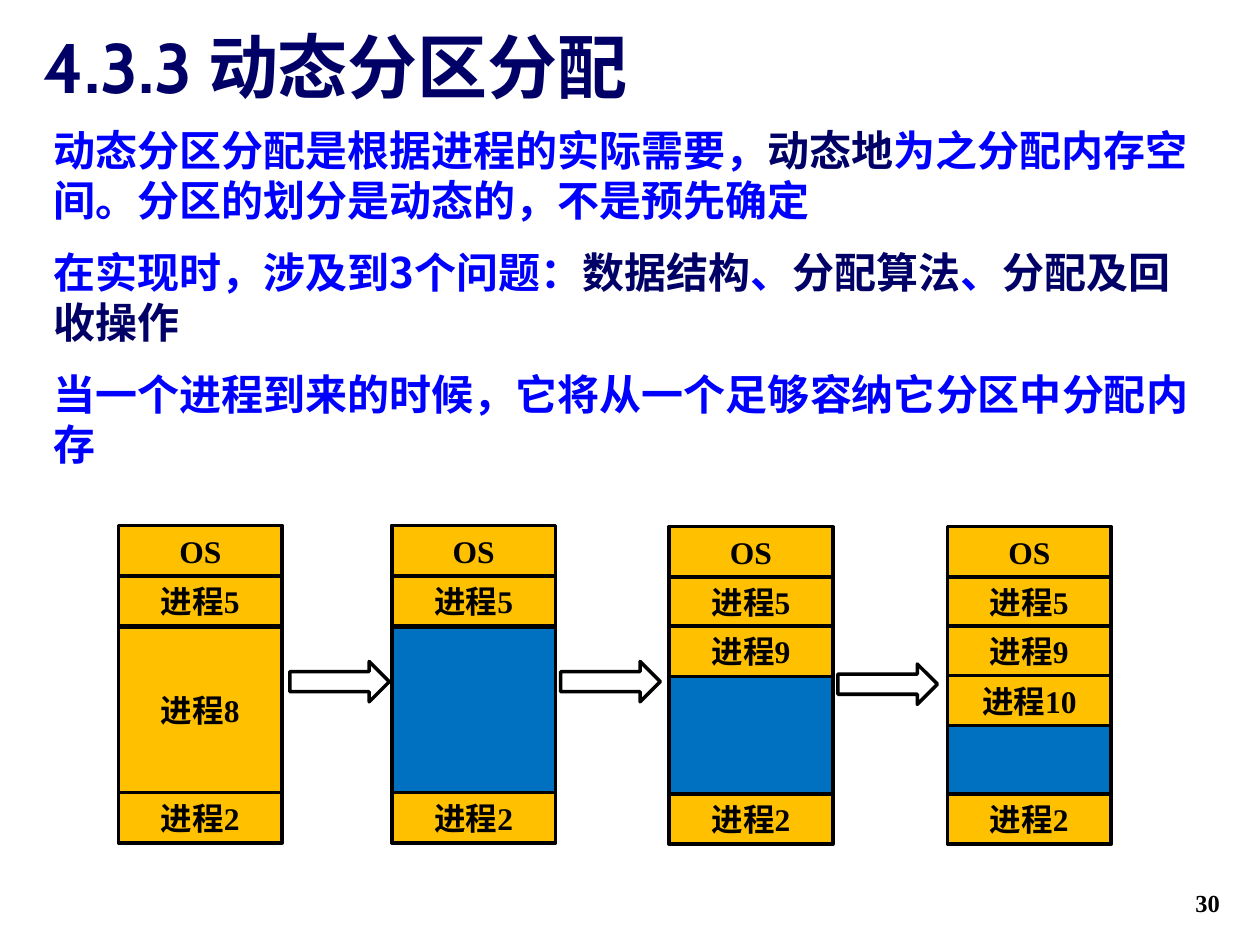
"""Build the slide on dynamic partition allocation."""
from dataclasses import dataclass

import lxml.etree
import pptx
import pptx.dml.color
import pptx.enum.shapes
import pptx.enum.text
import pptx.oxml.ns
import pptx.util

Inches = pptx.util.Inches
Pt = pptx.util.Pt
Align = pptx.enum.text.PP_ALIGN
Anchor = pptx.enum.text.MSO_ANCHOR
Shape = pptx.enum.shapes.MSO_SHAPE


@dataclass(frozen=True)
class Theme:
    navy: str = "000066"
    blue: str = "0000FF"
    black: str = "000000"
    used: str = "FFC000"
    free: str = "0070C0"
    cjk: str = "Noto Sans CJK SC"
    title_latin: str = "Cabin"
    serif: str = "Times New Roman"
    title: float = 40
    body: float = 24
    block: float = 18
    number: float = 14
    line: float = 2
    body_leading: float = 28.6
    body_gap: float = 12.5


@dataclass(frozen=True)
class Block:
    label: str
    top: float
    height: float = 0.4


@dataclass(frozen=True)
class Memory:
    left: float
    top: float
    blocks: tuple[Block, ...]


THEME = Theme()
BLOCK_WIDTH = 1.3
OS, P5, P2 = Block("OS", 0), Block("进程5", 0.4), Block("进程2", 2.12)
P8, P9, P10 = Block("进程8", 0.81, 1.31), Block("进程9", 0.79), Block("进程10", 1.18)
HOLE, LOW_HOLE = Block("", 0.81, 1.31), Block("", 1.18, 1.31)

MEMORIES = (
    Memory(0.94, 4.17, (OS, P5, P8, P2)),
    Memory(3.11, 4.17, (OS, P5, HOLE, P2)),
    Memory(5.31, 4.18, (OS, P5, LOW_HOLE, P2, P9)),
    Memory(7.52, 4.18, (OS, P5, LOW_HOLE, P2, P9, P10)),
)
ARROWS = ((2.3, 5.25), (4.45, 5.25), (6.65, 5.27))

BODY = (
    (("动态分区分配是根据进程的实际需要，", THEME.blue), ("动态地", THEME.navy),
     ("为之分配内存空间。分区的划分是动态的，不是预先确定", THEME.blue)),
    (("在实现时，涉及到3个问题：", THEME.blue), ("数据结构", THEME.navy), ("、", THEME.blue),
     ("分配算法", THEME.navy), ("、", THEME.blue), ("分配及回收操作", THEME.navy)),
    (("当一个进程到来的时候，它将从一个足够容纳它分区中分配内存", THEME.blue),),
)


def rgb(color: str) -> pptx.dml.color.RGBColor:
    return pptx.dml.color.RGBColor.from_string(color)


def add_run(p, text: str, size: float, color: str, latin: str) -> None:
    r = p.add_run()
    r.text = text
    r.font.size, r.font.bold, r.font.name = Pt(size), True, latin
    r.font.color.rgb = rgb(color)
    ea = lxml.etree.SubElement(r.font._element, pptx.oxml.ns.qn("a:ea"))
    ea.set("typeface", THEME.cjk)


def add_text_frame(slide, left: float, top: float, width: float, height: float, anchor):
    tf = slide.shapes.add_textbox(
        Inches(left), Inches(top), Inches(width), Inches(height)).text_frame
    tf.word_wrap, tf.vertical_anchor = True, anchor
    return tf


def add_outlined(slide, kind, left: float, top: float, width: float, height: float):
    sp = slide.shapes.add_shape(
        kind, Inches(left), Inches(top), Inches(width), Inches(height))
    sp.shadow.inherit = False
    sp.line.color.rgb = rgb(THEME.black)
    sp.line.width = Pt(THEME.line)
    return sp


def add_memory(slide, memory: Memory) -> None:
    for block in memory.blocks:
        sp = add_outlined(slide, Shape.RECTANGLE, memory.left, memory.top + block.top,
                          BLOCK_WIDTH, block.height)
        sp.fill.solid()
        sp.fill.fore_color.rgb = rgb(THEME.used if block.label else THEME.free)
        if block.label:
            tf = sp.text_frame
            tf.margin_top = tf.margin_bottom = 0
            tf.vertical_anchor = Anchor.MIDDLE
            p = tf.paragraphs[0]
            p.alignment = Align.CENTER
            add_run(p, block.label, THEME.block, THEME.black, THEME.serif)


def add_body(slide) -> None:
    tf = add_text_frame(slide, 0.33, 0.9, 9.25, 3.53, Anchor.TOP)
    tf.margin_top = Inches(0.09)
    for i, runs in enumerate(BODY):
        p = tf.add_paragraph() if i else tf.paragraphs[0]
        p.line_spacing = Pt(THEME.body_leading)
        p.space_before = Pt(THEME.body_gap if i else 0)
        for text, color in runs:
            add_run(p, text, THEME.body, color, THEME.cjk)


def main() -> None:
    prs = pptx.Presentation()
    prs.slide_width, prs.slide_height = Inches(10), Inches(7.5)
    slide = prs.slides.add_slide(prs.slide_layouts[6])

    tf = add_text_frame(slide, 7.7, 6.83, 2.08, 0.5, Anchor.BOTTOM)
    p = tf.paragraphs[0]
    p.alignment = Align.RIGHT
    add_run(p, "30", THEME.number, THEME.black, THEME.serif)

    tf = add_text_frame(slide, 0.25, 0.17, 7.17, 0.68, Anchor.BOTTOM)
    tf.margin_top = tf.margin_bottom = 0
    p = tf.paragraphs[0]
    add_run(p, "4.3.3 ", THEME.title, THEME.navy, THEME.title_latin)
    add_run(p, "动态分区分配", THEME.title, THEME.navy, THEME.cjk)

    add_body(slide)
    for memory in MEMORIES:
        add_memory(slide, memory)
    for left, top in ARROWS:
        add_outlined(slide, Shape.RIGHT_ARROW, left, top, 0.79, 0.32).fill.background()
    prs.save("out.pptx")


if __name__ == "__main__":
    main()
